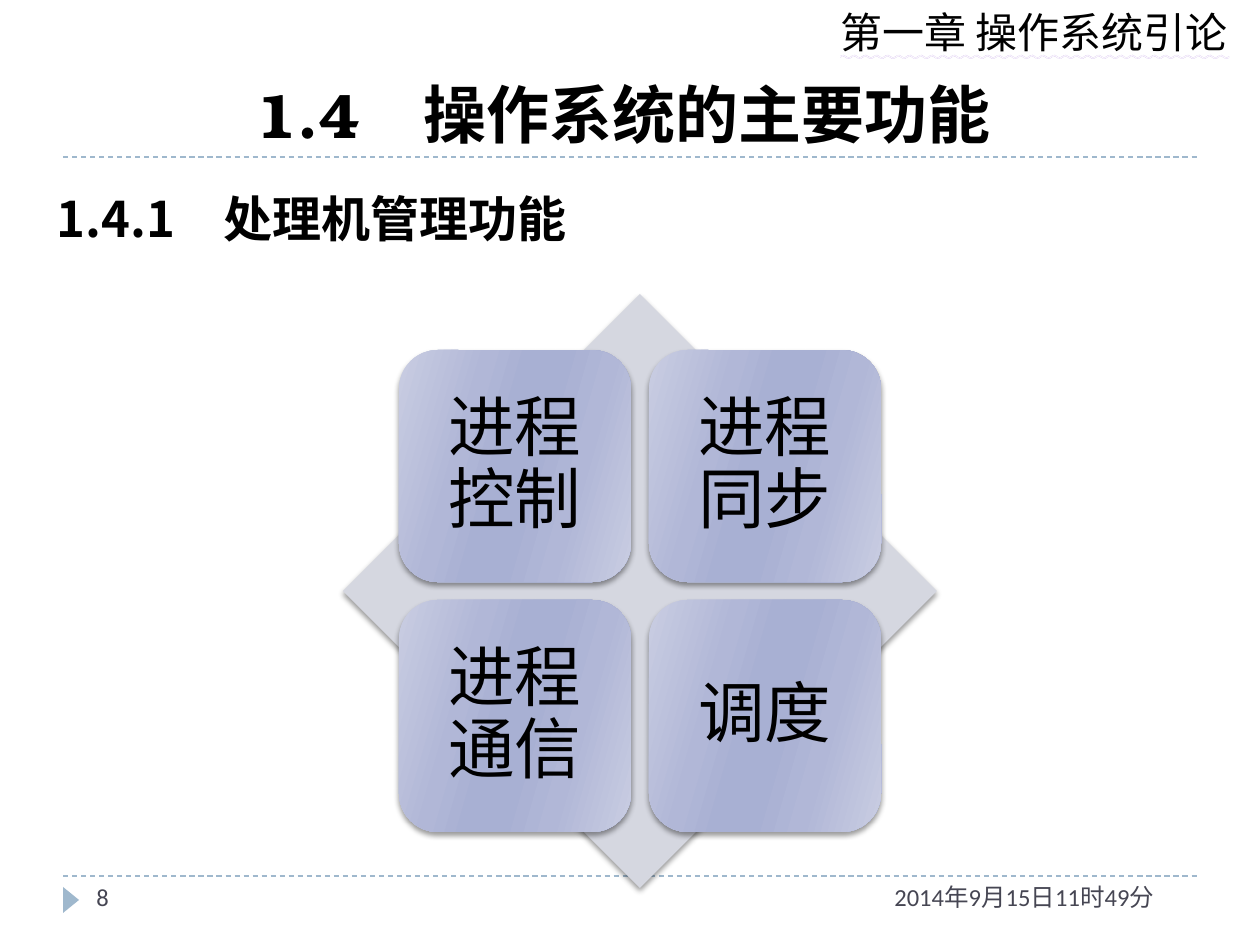
from itertools import product
from lxml.etree import SubElement as Sub
from pptx import Presentation
from pptx.dml.color import RGBColor as Rgb
from pptx.enum.dml import MSO_LINE as Dash
from pptx.enum.shapes import MSO_CONNECTOR as Conn, MSO_SHAPE as Shape
from pptx.enum.text import MSO_ANCHOR as Anchor, MSO_AUTO_SIZE as Auto
from pptx.enum.text import MSO_UNDERLINE as Under, PP_ALIGN as Align
from pptx.oxml.ns import qn
from pptx.util import Pt

SCALE = 914400 / 126
INK = {"black": "000000", "slate": "464653", "blue": "9FB8CD",
       "pale": "D5D7E0", "wave": "C5A6E8"}
STOPS = {0: "C9CDE2", 30: "B1B7D7", 45: "A8B0D3",
         55: "A8B0D3", 73: "B1B7D7", 100: "C9CDE2"}
SANS, SERIF, HAN = "Calibri", "TeX Gyre Bonum", "Noto Sans CJK SC"


def emu(*vals):
    return [round(v * SCALE) for v in vals]


def tint(name):
    return Rgb.from_string(INK[name])


def write(par, text, size, face=SANS, ink="black", bold=False):
    run = par.add_run()
    run.text = text
    font = run.font
    font.size, font.name, font.bold = Pt(size), face, bold
    font.color.rgb = tint(ink)
    Sub(font._element, qn("a:ea"), typeface=HAN)
    return run


def place(item, box):
    item.left, item.top, item.width, item.height = emu(*box)


def label(slide, box, text, size, ink, wrap=True):
    item = slide.shapes.add_textbox(*emu(*box))
    frame = item.text_frame
    frame.word_wrap = wrap
    return write(frame.paragraphs[0], text, size, ink=ink)


def rule(slide, x, y, wide):
    line = slide.shapes.add_connector(Conn.STRAIGHT, *emu(x, y, x + wide, y))
    line.line.color.rgb = tint("blue")
    line.line.width = Pt(0.75)
    line.line.dash_style = Dash.DASH
    Sub(line._element.spPr, qn("a:effectLst"))


def solid(slide, kind, box, ink):
    item = slide.shapes.add_shape(kind, *emu(*box))
    item.shadow.inherit = False
    item.line.fill.background()
    item.fill.solid()
    item.fill.fore_color.rgb = tint(ink)
    return item


def shade(item):
    glow = item._element.spPr.find(qn("a:effectLst"))
    drop = Sub(glow, qn("a:outerShdw"), blurRad=str(Pt(3)), dist=str(Pt(2)),
               dir="5400000", rotWithShape="0")
    tone = Sub(drop, qn("a:srgbClr"), val=INK["black"])
    Sub(tone, qn("a:alpha"), val="40000")


def blend(item):
    item.fill.gradient()
    grad = item._element.spPr.find(qn("a:gradFill"))
    stops = grad.find(qn("a:gsLst"))
    for old in list(stops):
        stops.remove(old)
    for pos, tone in STOPS.items():
        stop = Sub(stops, qn("a:gs"), pos=str(pos * 1000))
        Sub(stop, qn("a:srgbClr"), val=tone)
    grad.find(qn("a:lin")).set("ang", str(16 * 60000))


def header(slide, box):
    x, y, wide, high = box
    run = label(slide, (x + 828, y, 428, 63), "第一章 操作系统引论", 24, "black", False)
    run.font.underline = Under.WAVY_DOUBLE_LINE
    line = Sub(run.font._element, qn("a:uFill"))
    Sub(Sub(line, qn("a:solidFill")), qn("a:srgbClr"), val=INK["wave"])
    run.font._element.find(qn("a:latin")).addprevious(line)
    title = slide.shapes.title
    place(title, (x + 63, y + 66, wide - 126, high - 66))
    frame = title.text_frame
    frame.auto_size = Auto.NONE
    frame.vertical_anchor = Anchor.BOTTOM
    par = frame.paragraphs[0]
    par.alignment = Align.CENTER
    write(par, "1.4", 36, SERIF, bold=True)
    write(par, "\u3000操作系统的主要功能 ", 36, HAN, bold=True)
    rule(slide, x + 63, y + high, wide - 126)


def topic(slide, box):
    body = slide.placeholders[1]
    place(body, box)
    frame = body.text_frame
    frame.auto_size = Auto.NONE
    par = frame.paragraphs[0]
    par.alignment = Align.JUSTIFY
    par.line_spacing = 1.3
    par.space_before = Pt(14)
    prop = par._p.get_or_add_pPr()
    prop.set("marL", "0")
    prop.set("indent", "0")
    Sub(prop, qn("a:buNone"))
    write(par, "1.4.1\u3000处理机管理功能", 28, HAN, bold=True)


def tile(slide, box, text):
    item = solid(slide, Shape.ROUNDED_RECTANGLE, box, "pale")
    blend(item)
    shade(item)
    frame = item.text_frame
    frame.word_wrap = True
    frame.vertical_anchor = Anchor.MIDDLE
    inset, = emu(20)
    frame.margin_left = frame.margin_right = inset
    frame.margin_top = frame.margin_bottom = inset
    par = frame.paragraphs[0]
    par.alignment = Align.CENTER
    par.line_spacing = 0.9
    write(par, text, 38)


def matrix(slide, box, words):
    x, y, wide, high = box
    shade(solid(slide, Shape.DIAMOND, box, "pale"))
    side, gap = 232, 18
    edge = (wide - 2 * side - gap) // 2
    for (row, col), word in zip(product(range(2), repeat=2), words):
        left = x + edge + col * (side + gap)
        top = y + edge + row * (side + gap)
        tile(slide, (left, top, side, side), word)


def footer(slide, box):
    x, y, wide, high = box
    rule(slide, x, y, wide)
    mark = solid(slide, Shape.ISOSCELES_TRIANGLE, (x - 5, y + 16, 26, 16), "blue")
    mark.rotation = 90
    label(slide, (x + 21, y, 273, high), "8", 14, "slate")
    label(slide, (x + wide - 315, y, 315, high), "2014年9月15日11时49分", 14, "slate")


deck = Presentation()
deck.slide_width, deck.slide_height = emu(1260, 945)
page = deck.slides.add_slide(deck.slide_layouts[1])
header(page, (0, 0, 1260, 157))
topic(page, (44, 165, 1173, 393))
footer(page, (63, 876, 1134, 50))
matrix(page, (343, 294, 594, 594), ["进程控制", "进程同步", "进程通信", "调度"])
deck.save("out.pptx")
